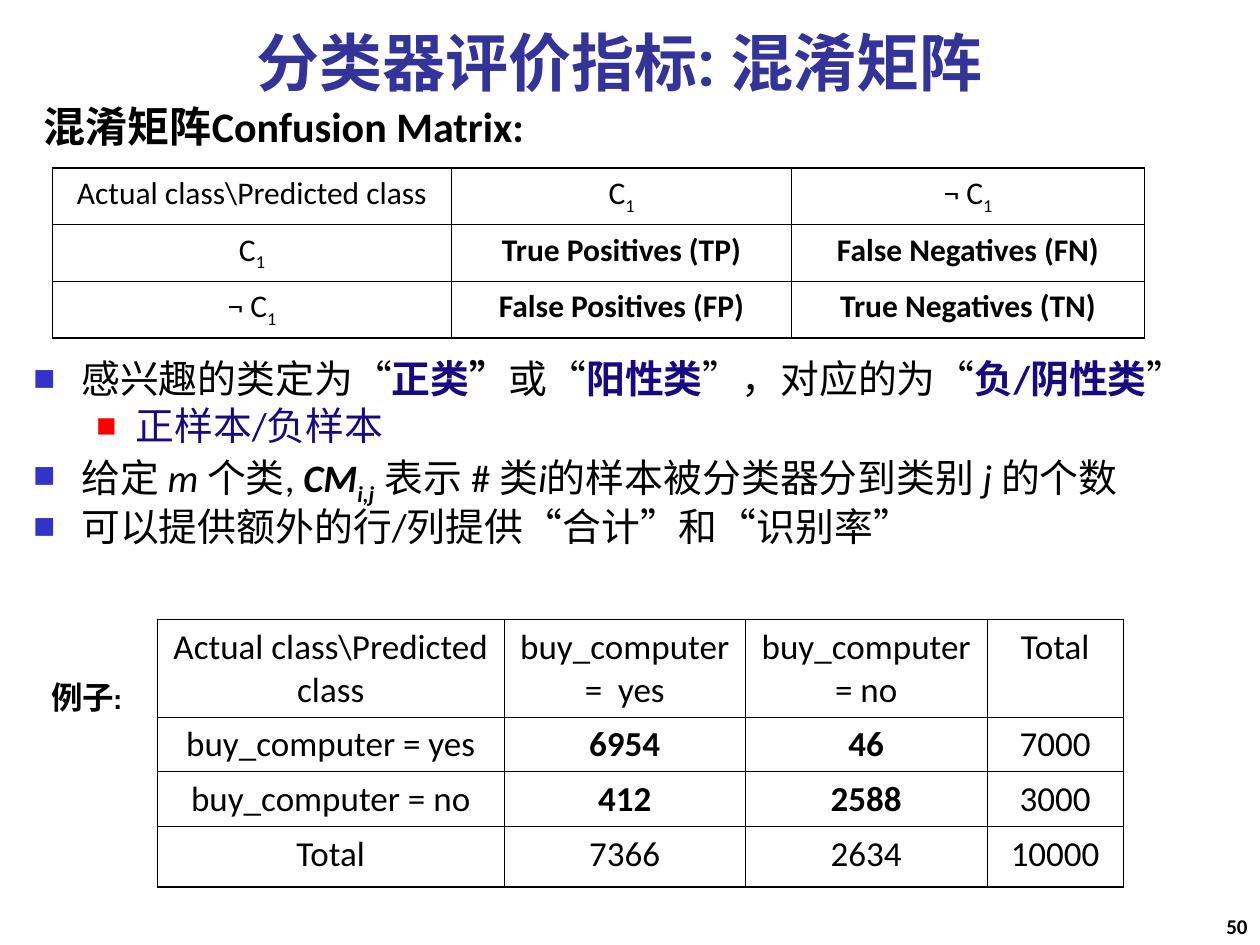
from dataclasses import dataclass
from typing import Optional

from lxml import etree
from pptx import Presentation
from pptx.dml.color import RGBColor
from pptx.enum.text import MSO_ANCHOR, PP_ALIGN
from pptx.oxml.ns import qn
from pptx.util import Inches, Pt

LEFT, CENTER, RIGHT = PP_ALIGN.LEFT, PP_ALIGN.CENTER, PP_ALIGN.RIGHT
TOP, BOTTOM = MSO_ANCHOR.TOP, MSO_ANCHOR.BOTTOM
COLS, ROWS = 120, 90  # slide grid: one unit is a twelfth of an inch


@dataclass(frozen=True)
class Theme:
    black: str = "000000"
    title: str = "333399"
    key: str = "170981"
    bullet: str = "3333CC"
    sub_bullet: str = "FF0000"
    font: str = "Calibri"
    title_font: str = "Roboto"
    label_font: str = "Cabin"
    title_size: float = 36
    heading_size: float = 24
    body_size: float = 22.2
    example_size: float = 20
    small_size: float = 18
    number_size: float = 12
    outer_line: float = 1.08
    inner_line: float = 0.45


T = Theme()


@dataclass(frozen=True)
class Run:
    text: str
    bold: bool = False
    italic: bool = False
    color: str = T.black
    sub: bool = False


@dataclass(frozen=True)
class Bullet:
    runs: tuple[Run, ...]
    margin: float = 0.38
    hang: float = 0.38
    color: str = T.bullet
    percent: int = 60


@dataclass(frozen=True)
class Grid:
    left: float
    top: float
    widths: tuple[float, ...]
    heights: tuple[float, ...]
    size: float
    space_before: float
    cells: tuple[tuple[tuple[Run, ...], ...], ...]


def unit(n: float) -> int:
    return Inches(n / 12)


def add_runs(p, runs: tuple[Run, ...], *, size: float, font: str = T.font) -> None:
    for run in runs:
        r = p.add_run()
        r.text = run.text
        f = r.font
        f.size, f.name, f.bold, f.italic = Pt(size), font, run.bold, run.italic
        f.color.rgb = RGBColor.from_string(run.color)
        if run.sub:
            r._r.get_or_add_rPr().set("baseline", "-25000")


def add_box(slide, box: tuple[float, float, float, float], *, anchor=TOP, wrap: bool = True):
    tf = slide.shapes.add_textbox(*map(unit, box)).text_frame
    tf.word_wrap, tf.vertical_anchor = wrap, anchor
    return tf


def add_text(slide, text: str, box: tuple[float, float, float, float], *, size: float,
             font: str = T.font, color: str = T.black, align=LEFT, anchor=TOP,
             wrap: bool = True) -> None:
    p = add_box(slide, box, anchor=anchor, wrap=wrap).paragraphs[0]
    p.alignment = align
    add_runs(p, (Run(text, bold=True, color=color),), size=size, font=font)


def add_bullets(slide, bullets: tuple[Bullet, ...], box: tuple[float, float, float, float]) -> None:
    tf = add_box(slide, box)
    tf.margin_right = 0
    for i, b in enumerate(bullets):
        p = tf.paragraphs[0] if i == 0 else tf.add_paragraph()
        p.line_spacing, p.space_before = 0.8, Pt(6)
        pPr = p._p.get_or_add_pPr()
        pPr.set("marL", str(Inches(b.margin)))
        pPr.set("indent", str(-Inches(b.hang)))
        clr = etree.SubElement(pPr, qn("a:buClr"))
        etree.SubElement(clr, qn("a:srgbClr"), val=b.color)
        etree.SubElement(pPr, qn("a:buSzPct"), val=str(b.percent * 1000))
        etree.SubElement(pPr, qn("a:buFont"), typeface=T.font)
        etree.SubElement(pPr, qn("a:buChar"), char="■")
        add_runs(p, b.runs, size=T.body_size)


def set_border(cell, side: str, width: float) -> None:
    ln = etree.SubElement(cell._tc.get_or_add_tcPr(), qn(f"a:ln{side}"), w=str(Pt(width)))
    fill = etree.SubElement(ln, qn("a:solidFill"))
    etree.SubElement(fill, qn("a:srgbClr"), val=T.black)


def add_grid(slide, g: Grid) -> None:
    n_rows, n_cols = len(g.heights), len(g.widths)
    size = (g.left, g.top, sum(g.widths), sum(g.heights))
    table = slide.shapes.add_table(n_rows, n_cols, *map(unit, size)).table
    table.first_row = table.horz_banding = False
    for col, w in zip(table.columns, g.widths):
        col.width = unit(w)
    for row, h in zip(table.rows, g.heights):
        row.height = unit(h)
    for i, row in enumerate(g.cells):
        for j, runs in enumerate(row):
            cell = table.cell(i, j)
            edges = {"L": j == 0, "R": j == n_cols - 1, "T": i == 0, "B": i == n_rows - 1}
            for side, outer in edges.items():
                set_border(cell, side, T.outer_line if outer else T.inner_line)
            cell.fill.background()
            p = cell.text_frame.paragraphs[0]
            p.alignment, p.space_before = CENTER, Pt(g.space_before)
            add_runs(p, runs, size=g.size)


def plain(*texts: str) -> tuple[tuple[Run, ...], ...]:
    return tuple((Run(t),) for t in texts)


def strong(*texts: str) -> tuple[tuple[Run, ...], ...]:
    return tuple((Run(t, bold=True),) for t in texts)


def key(text: str) -> Run:
    return Run(text, bold=True, color=T.key)


CORNER = plain("Actual class\\Predicted class")
POSITIVE = (Run("C"), Run("1", sub=True))
NEGATIVE = (Run("¬ C"), Run("1", sub=True))

MATRIX = Grid(5, 16, (38, 32.4, 33.6), (5.4, 5.4, 5.4), T.small_size, 4.5, (
    CORNER + (POSITIVE, NEGATIVE),
    (POSITIVE,) + strong("True Positives (TP)", "False Negatives (FN)"),
    (NEGATIVE,) + strong("False Positives (FP)", "True Negatives (TN)"),
))

EXAMPLE = Grid(15, 59, (33, 23, 23, 13), (9.3, 5.2, 5.2, 5.8), T.example_size, 5, (
    CORNER + plain("buy_computer =  yes", "buy_computer = no", "Total"),
    plain("buy_computer = yes") + strong("6954", "46") + plain("7000"),
    plain("buy_computer = no") + strong("412", "2588") + plain("3000"),
    plain("Total", "7366", "2634", "10000"),
))

BULLETS = (
    Bullet((Run("感兴趣的类定为“"), key("正类"), Run("”", bold=True), Run("或“"),
            key("阳性类"), Run("”，对应的为“"), key("负/阴性类"), Run("”"))),
    Bullet((Run("正样本/负样本", color=T.key),), 0.81, 0.31, T.sub_bullet, 55),
    Bullet((Run("给定 "), Run("m ", italic=True), Run("个类, "),
            Run("CM", bold=True, italic=True), Run("i,j  ", bold=True, italic=True, sub=True),
            Run("表示 # 类"), Run("i", italic=True), Run("的样本被分类器分到类别 "),
            Run("j ", italic=True), Run("的个数"))),
    Bullet((Run("可以提供额外的行/列提供“合计”和“识别率”"),)),
)


def main() -> None:
    prs = Presentation()
    prs.slide_width, prs.slide_height = unit(COLS), unit(ROWS)
    slide = prs.slides.add_slide(prs.slide_layouts[6])

    # Title and heading
    add_text(slide, "分类器评价指标: 混淆矩阵", (10, 0, 98, 10), size=T.title_size,
             font=T.title_font, color=T.title, align=CENTER, anchor=BOTTOM)
    add_text(slide, "混淆矩阵Confusion Matrix:", (3, 9, 54, 6), size=T.heading_size)

    # Confusion matrix and its explanation
    add_grid(slide, MATRIX)
    add_bullets(slide, BULLETS, (2, 34, 115, 21.5))

    # Worked example
    add_text(slide, "例子:", (3.7, 64, 10, 4.8), size=T.small_size,
             font=T.label_font, wrap=False)
    add_grid(slide, EXAMPLE)

    # Slide number
    add_text(slide, "50", (95, 85, 25, 5), size=T.number_size, align=RIGHT, anchor=BOTTOM)

    prs.save("out.pptx")


if __name__ == "__main__":
    main()
